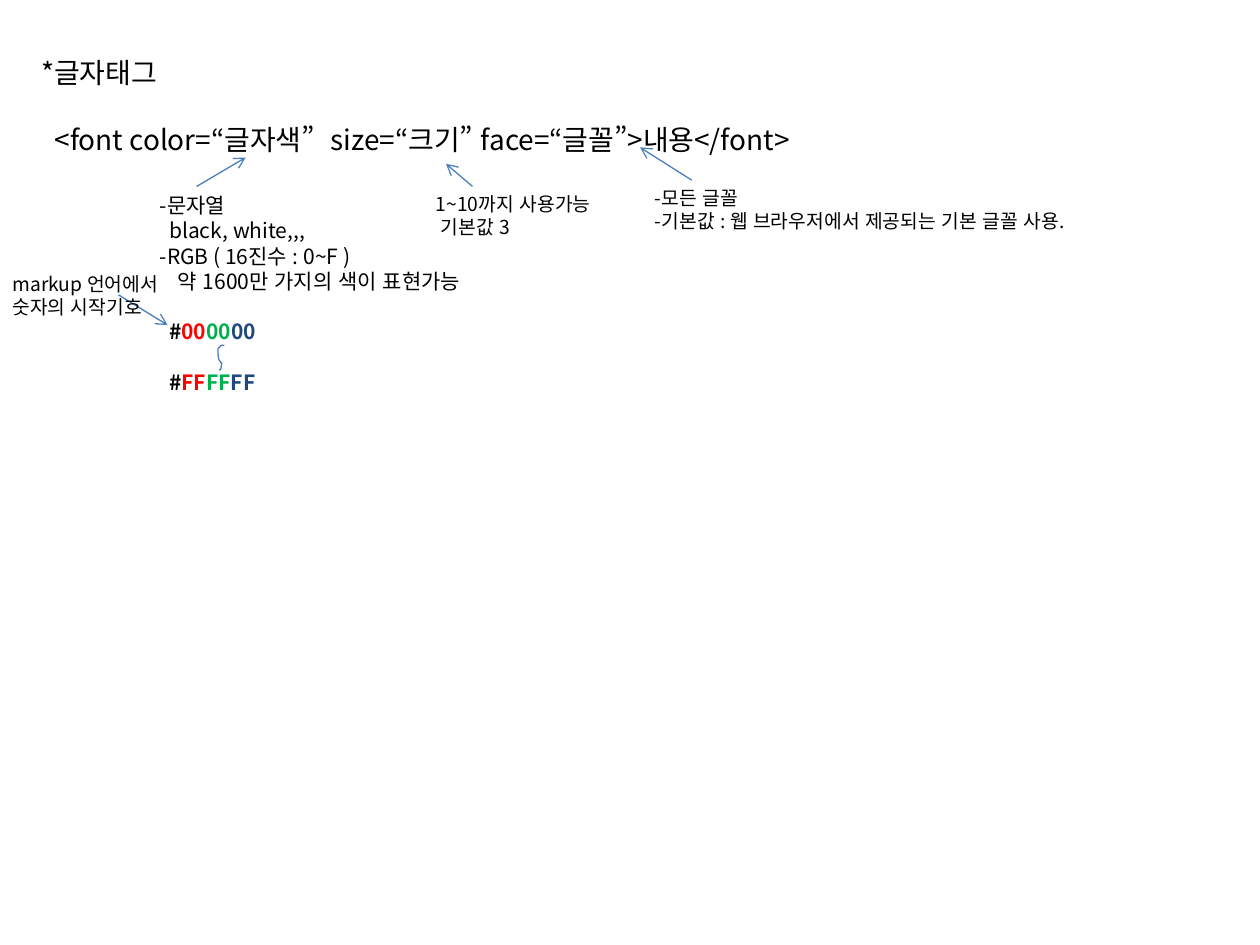
from pptx import Presentation, util as u
from pptx.dml.color import RGBColor
from pptx.enum import lang, shapes, text
from pptx.oxml.ns import qn
from lxml import etree

# Grid: 1000 columns by 750 rows of equal cells
COLUMNS, ROWS = 1000, 750
CELL = u.Inches(0.01)
FONT = "Noto Sans CJK KR"

BLACK = RGBColor(0x00, 0x00, 0x00)
RED = RGBColor(0xFF, 0x00, 0x00)
GREEN = RGBColor(0x00, 0xB0, 0x50)
NAVY = RGBColor(0x1F, 0x49, 0x7D)
BLUE = RGBColor(0x4B, 0x7E, 0xBC)


def cells(*counts):
    return [round(count * CELL) for count in counts]


def line(content, indent=0, before=0):
    """One paragraph: a string or (text, colour, bold) runs, indents in points."""
    runs = [(content, BLACK, False)] if isinstance(content, str) else content
    return runs, indent, before


def hex_code(pair):
    """A colour code with its red, green and blue digits marked."""
    runs = [("#", BLACK, True)]
    runs += [(pair, colour, True) for colour in (RED, GREEN, NAVY)]
    return line(runs, indent=5.4, before=14.4)


def add_run(paragraph, content, colour, **formats):
    run = paragraph.add_run()
    run.text = content
    # Korean text keeps its quotation marks narrow
    formats["language_id"] = lang.MSO_LANGUAGE_ID.KOREAN
    for name, value in formats.items():
        setattr(run.font, name, value)
    run.font.color.rgb = colour
    east_asian = etree.SubElement(run.font._element, qn("a:ea"))
    east_asian.set("typeface", FONT)


def add_note(slide, box, size, lines, wrap=False):
    frame = slide.shapes.add_textbox(*cells(*box)).text_frame
    frame.word_wrap = wrap
    frame.auto_size = text.MSO_AUTO_SIZE.SHAPE_TO_FIT_TEXT
    for index, (runs, indent, before) in enumerate(lines):
        paragraph = frame.add_paragraph() if index else frame.paragraphs[0]
        if before:
            paragraph.space_before = u.Pt(before)
        if indent:
            paragraph._p.get_or_add_pPr().set("marL", str(u.Pt(indent)))
        for content, colour, bold in runs:
            add_run(paragraph, content, colour,
                    name=FONT, size=u.Pt(size), bold=bold)


def style_line(shape):
    shape.line.color.rgb = BLUE
    shape.line.width = u.Pt(0.75)


def add_arrow(slide, start, end):
    connector = slide.shapes.add_connector(
        shapes.MSO_CONNECTOR.STRAIGHT, *cells(*start, *end))
    style_line(connector)
    outline = connector.line._get_or_add_ln()
    etree.SubElement(outline, qn("a:tailEnd")).set("type", "arrow")
    etree.SubElement(connector._element.spPr, qn("a:effectLst"))


def bezier(points, t):
    """Point at share t of a cubic curve."""
    weights = ((1 - t) ** 3, 3 * t * (1 - t) ** 2, 3 * t ** 2 * (1 - t), t ** 3)
    return tuple(sum(w * point[axis] for w, point in zip(weights, points))
                 for axis in (0, 1))


def add_curve(slide, points, steps=6):
    """Open curve through cubic segments that share their end points."""
    track = [bezier(points[i:i + 4], step / steps)
             for i in range(0, len(points) - 1, 3)
             for step in range(1, steps + 1)]
    builder = slide.shapes.build_freeform(*cells(*points[0]))
    builder.add_line_segments([cells(*point) for point in track], close=False)
    curve = builder.convert_to_shape()
    curve.shadow.inherit = False
    curve.fill.background()
    style_line(curve)


def main():
    presentation = Presentation()
    presentation.slide_width, presentation.slide_height = cells(COLUMNS, ROWS)
    slide = presentation.slides.add_slide(presentation.slide_layouts[6])

    # Heading and tag syntax, wide enough for the tag to stay on one line
    add_note(slide, (23, 39, 690, 91), 16, [
        line("*글자태그"),
        line("<font color=“글자색”  size=“크기” face=“글꼴”>내용</font>",
             indent=7.6, before=19.2),
    ], wrap=True)

    # Colour attribute
    add_arrow(slide, (156, 148), (195, 125))
    add_note(slide, (117, 148, 284, 172), 12, [
        line("-문자열"),
        line("black, white,,,", indent=5.4),
        line("-RGB ( 16진수 : 0~F )"),
        line("약 1600만 가지의 색이 표현가능", indent=10.2),
        hex_code("00"),
        hex_code("FF"),
    ])

    # Number sign and colour range
    add_arrow(slide, (94, 234), (133, 258))
    add_note(slide, (0, 211, 140, 47), 11, [
        line("markup 언어에서"),
        line("숫자의 시작기호"),
    ])
    add_curve(slide, [
        (178, 274), (176, 274), (175, 274), (174, 276),
        (173, 276), (173, 277), (173, 278),
        (173, 279), (173, 284), (174, 286),
        (175, 287), (175, 288), (176, 288),
        (175, 294), (176, 292), (174, 294),
    ])

    # Size attribute
    add_arrow(slide, (375, 148), (354, 130))
    add_note(slide, (336, 148, 154, 47), 11, [
        line("1~10까지 사용가능"),
        line("기본값 3", indent=3),
    ])

    # Face attribute
    add_arrow(slide, (549, 143), (508, 117))
    add_note(slide, (510, 143, 404, 47), 11, [
        line("-모든 글꼴"),
        line("-기본값 : 웹 브라우저에서 제공되는 기본 글꼴 사용."),
    ], wrap=True)

    presentation.save("out.pptx")


if __name__ == "__main__":
    main()
